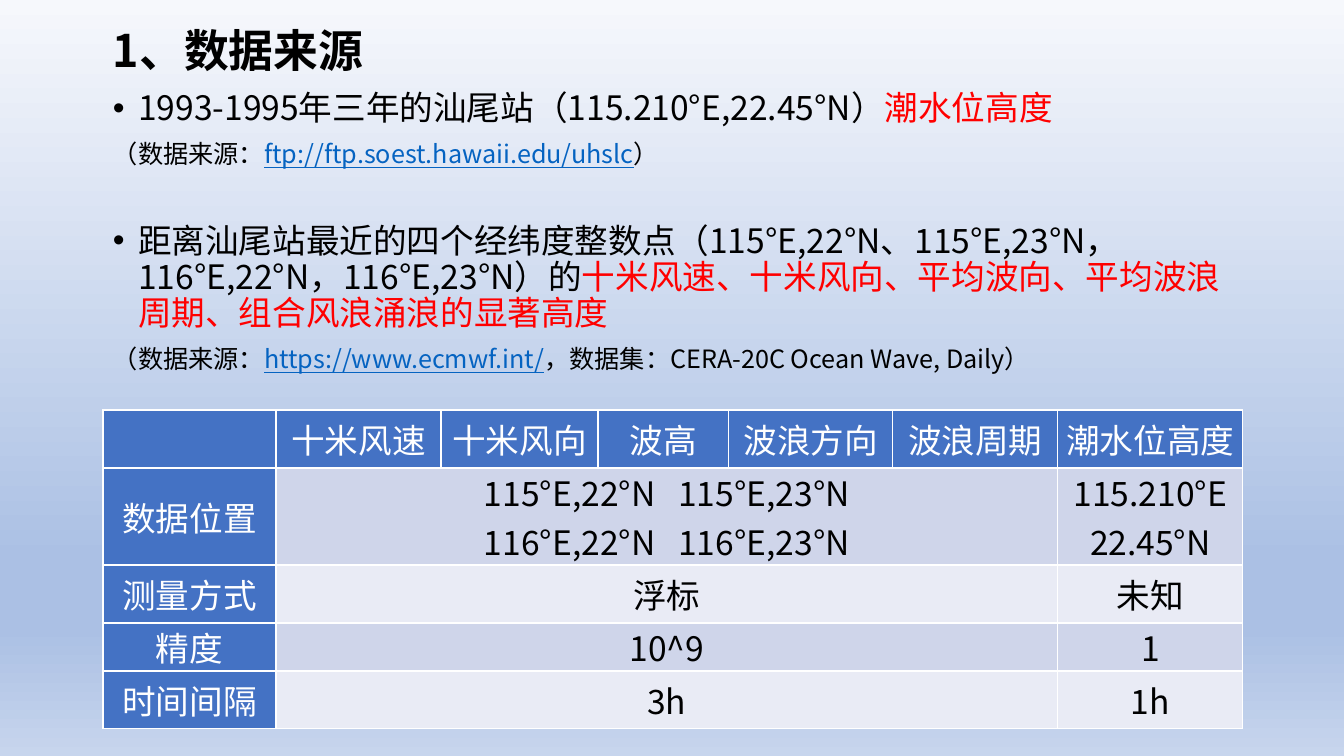
from dataclasses import dataclass
from itertools import product

from lxml import etree
from pptx import Presentation
from pptx.dml.color import RGBColor
from pptx.enum.text import MSO_ANCHOR, PP_ALIGN
from pptx.oxml.ns import qn
from pptx.util import Emu, Pt

CENTER = PP_ALIGN.CENTER
MIDDLE = MSO_ANCHOR.MIDDLE
EMU_PER_PX = 12192000 / 1344


@dataclass(frozen=True)
class Theme:
    font: str = "Noto Sans CJK SC"
    ink: str = "000000"
    accent: str = "FF0000"
    link: str = "0563C1"
    white: str = "FFFFFF"
    header: str = "4472C4"
    bands: tuple = ("CFD5EA", "E9EBF5")
    sky: tuple = ((0, "F6F8FC"), (74, "ABC0E4"), (83, "ABC0E4"), (100, "C7D5ED"))
    title: int = 32
    body: int = 24
    source: int = 18
    line_spacing: float = 0.9
    space_before: int = 10


@dataclass(frozen=True)
class Span:
    text: str
    color: str = Theme.ink
    underline: bool = False
    tracking: int = 0


@dataclass(frozen=True)
class Line:
    spans: tuple
    size: int
    bold: bool = False
    bullet: bool = False
    space_before: float = Theme.space_before


def px(value):
    return Emu(round(value * EMU_PER_PX))


class SlideBuilder:
    def __init__(self, deck, theme):
        self.theme = theme
        self.page = deck.slides.add_slide(deck.slide_layouts[6])

    def background(self):
        fill = self.page.background.fill
        fill.gradient()
        fill.gradient_angle = 270
        stops = next(self.page.element.iter(qn("a:gsLst")))
        for stop in list(stops):
            stops.remove(stop)
        for percent, color in self.theme.sky:
            stop = etree.SubElement(stops, qn("a:gs"), pos=str(percent * 1000))
            etree.SubElement(stop, qn("a:srgbClr"), val=color)

    def spans(self, para, spans, size, bold=False):
        for span in spans:
            run = para.add_run()
            run.text = span.text
            font = run.font
            font.name = self.theme.font
            font.size = Pt(size)
            font.bold = bold
            font.underline = span.underline
            font.color.rgb = RGBColor.from_string(span.color)
            properties = run._r.get_or_add_rPr()
            east_asian = etree.Element(qn("a:ea"), typeface=self.theme.font)
            properties.find(qn("a:latin")).addnext(east_asian)
            if span.tracking:
                properties.set("spc", str(span.tracking * 100))

    def text(self, left, top, width, height, lines):
        box = self.page.shapes.add_textbox(px(left), px(top), px(width), px(height))
        frame = box.text_frame
        frame.word_wrap = True
        for index, line in enumerate(lines):
            para = frame.add_paragraph() if index else frame.paragraphs[0]
            para.line_spacing = self.theme.line_spacing
            para.space_before = Pt(line.space_before)
            if line.bullet:
                self.bullet(para)
            self.spans(para, line.spans, line.size, line.bold)

    def bullet(self, para):
        properties = para._p.get_or_add_pPr()
        properties.set("marL", "228600")
        properties.set("indent", "-228600")
        etree.SubElement(properties, qn("a:buFont"), typeface="Arial")
        etree.SubElement(properties, qn("a:buChar"), char="•")

    def table(self, left, top, columns, rows):
        frame = self.page.shapes.add_table(
            len(rows), len(columns), px(left), px(top), px(sum(columns)), px(sum(rows)))
        table = frame.table
        for column, width in zip(table.columns, columns):
            column.width = px(width)
        for row, height in zip(table.rows, rows):
            row.height = px(height)
        for row, column in product(range(len(rows)), range(len(columns))):
            is_header = row == 0 or column == 0
            fill = self.theme.header if is_header else self.theme.bands[(row - 1) % 2]
            self.cell_style(table.cell(row, column), fill)
        return table

    def cell_style(self, cell, color):
        cell.margin_left = cell.margin_right = px(7)
        cell.margin_top = cell.margin_bottom = 0
        cell.vertical_anchor = MIDDLE
        properties = cell._tc.get_or_add_tcPr()
        for side in ("lnL", "lnR", "lnT", "lnB"):
            border = etree.SubElement(properties, qn(f"a:{side}"), w=str(Pt(1)))
            solid = etree.SubElement(border, qn("a:solidFill"))
            etree.SubElement(solid, qn("a:srgbClr"), val=self.theme.white)
        cell.fill.solid()
        cell.fill.fore_color.rgb = RGBColor.from_string(color)

    def cell_text(self, cell, lines):
        frame = cell.text_frame
        for index, spans in enumerate(lines):
            para = frame.add_paragraph() if index else frame.paragraphs[0]
            para.alignment = CENTER
            self.spans(para, spans, self.theme.body)


def main():
    theme = Theme()
    deck = Presentation()
    deck.slide_width, deck.slide_height = px(1344), px(756)
    slide = SlideBuilder(deck, theme)
    slide.background()

    slide.text(103, 24, 1159, 480, [
        Line((Span("1、数据来源"),), theme.title, bold=True),
        Line((Span("1993-1995年三年的汕尾站（115.210°E,22.45°N）"),
              Span("潮水位高度", theme.accent)), theme.body, bullet=True),
        Line((Span("（数据来源："),
              Span("ftp://ftp.soest.hawaii.edu/uhslc", theme.link, True),
              Span("）")), theme.source),
        Line((Span("距离汕尾站最近的四个经纬度整数点（115°E,22°N、115°E,23°N，"
                   "116°E,22°N，116°E,23°N）的"),
              Span("十米风速、十米风向、平均波向、平均波浪周期、组合风浪涌浪的显著高度",
                   theme.accent)), theme.body, bullet=True, space_before=39.5),
        Line((Span("（数据来源："),
              Span("https://www.ecmwf.int/", theme.link, True),
              Span("，数据集：CERA-20C Ocean Wave, Daily）")), theme.source),
    ])

    table = slide.table(103, 410, (173, 165, 157, 131, 164, 165, 185), (58, 97, 58, 48, 58))
    headings = ("十米风速", "十米风向", "波高", "波浪方向", "波浪周期", "潮水位高度")
    for column, heading in enumerate(headings, start=1):
        slide.cell_text(table.cell(0, column), [(Span(heading, theme.white),)])

    gap = Span(" ", tracking=11)
    grid_points = [(Span(f"{east}°E,22°N"), gap, Span(f"{east}°E,23°N")) for east in (115, 116)]
    records = (
        ("数据位置", grid_points, ("115.210°E", "22.45°N")),
        ("测量方式", [(Span("浮标"),)], ("未知",)),
        ("精度", [(Span("10^9"),)], ("1",)),
        ("时间间隔", [(Span("3h"),)], ("1h",)),
    )
    for row, (label, wave_lines, tide_lines) in enumerate(records, start=1):
        table.cell(row, 1).merge(table.cell(row, 5))
        slide.cell_text(table.cell(row, 0), [(Span(label, theme.white),)])
        slide.cell_text(table.cell(row, 1), wave_lines)
        slide.cell_text(table.cell(row, 6), [(Span(text),) for text in tide_lines])

    deck.save("out.pptx")


if __name__ == "__main__":
    main()
